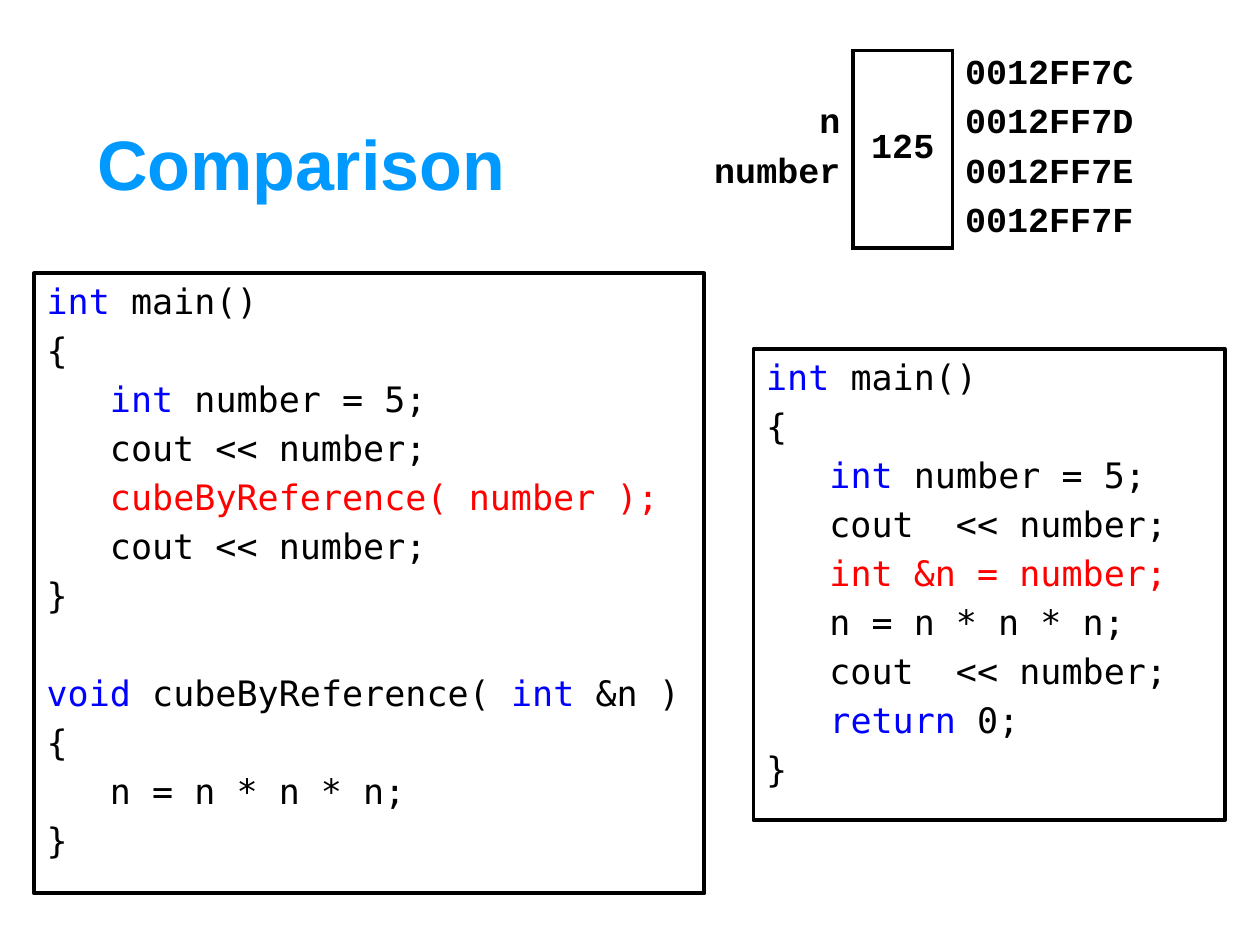
"""Builds the slide comparing a reference parameter with a reference variable."""
from lxml.etree import SubElement
from pptx import Presentation
from pptx.dml.color import RGBColor
from pptx.enum.text import MSO_ANCHOR as Anchor, MSO_AUTO_SIZE as AutoSize, PP_ALIGN as Align
from pptx.oxml import parse_xml
from pptx.oxml.ns import nsdecls, qn
from pptx.util import Inches, Pt

KEYWORDS = {"int", "void", "return"}
HIGHLIGHTS = {"cubeByReference( number );", "int &n = number;"}
PLAIN_TABLE = "{2D5ABB26-0587-4C30-8999-92F81FD0307C}"
BY_PARAMETER = [
    "int| main()",
    "{",
    "   |int| number = 5;",
    "   cout << number;",
    "   |cubeByReference( number );",
    "   cout << number;",
    "}",
    "",
    "void |cubeByReference( |int| &n )",
    "{",
    "   n = n * n * n;",
    "}",
]
BY_VARIABLE = [
    "int| main()",
    "{",
    "   |int| number = 5;",
    "   cout  << number;",
    "   |int &n = number;",
    "   n = n * n * n;",
    "   cout  << number;",
    "   |return| 0;",
    "}",
]
MEMORY = [
    ["", "125", "0012FF7C"],
    ["n", "", "0012FF7D"],
    ["number", "", "0012FF7E"],
    ["", "", "0012FF7F"],
]


def color(value):
    return RGBColor.from_string(value)


class SlideBuilder:
    black, blue, red, accent = "000000", "0000FF", "FF0000", "0099FF"
    title_font, code_font, table_font = "Arial", "DejaVu Sans Mono", "Courier New"
    title_size, text_size, line_width = 40, 20, 2.25
    line_gap, blank_line = 4, 28

    def __init__(self, deck):
        self.page = deck.slides.add_slide(deck.slide_layouts[3])

    def format(self, span, font, size, value, bold=False):
        span.font.name, span.font.size, span.font.bold = font, Pt(size), bold
        span.font.color.rgb = color(value)

    def place(self, shape, left, top, width, height):
        shape.left, shape.top = Inches(left), Inches(top)
        shape.width, shape.height = Inches(width), Inches(height)

    def title(self, text, *area):
        box = self.page.shapes.title
        self.place(box, *area)
        frame = box.text_frame
        frame.text = text
        frame.auto_size, frame.vertical_anchor = AutoSize.NONE, Anchor.MIDDLE
        para = frame.paragraphs[0]
        para.alignment = Align.LEFT
        self.format(para.runs[0], self.title_font, self.title_size, self.accent, True)

    def code(self, index, lines, *area):
        box = self.page.placeholders[index]
        self.place(box, *area)
        box.line.color.rgb = color(self.black)
        box.line.width = Pt(self.line_width)
        frame = box.text_frame
        frame.auto_size, frame.vertical_anchor = AutoSize.NONE, Anchor.TOP
        gap, para = 0, frame.paragraphs[0]
        for number, line in enumerate(lines):
            if not line:
                gap += self.blank_line
                continue
            para = frame.add_paragraph() if number else para
            para.space_before = Pt(gap)
            properties = para._p.get_or_add_pPr()
            properties.set("marL", "0")
            properties.set("indent", "0")
            SubElement(properties, qn("a:buNone"))
            for part in line.split("|"):
                span = para.add_run()
                span.text = part
                word = part.strip()
                value = self.blue if word in KEYWORDS else self.red if word in HIGHLIGHTS else self.black
                self.format(span, self.code_font, self.text_size, value)
            gap = self.line_gap

    def border(self, cell, sides):
        properties = cell._tc.get_or_add_tcPr()
        for position, side in enumerate(sides):
            properties.insert(position, parse_xml(
                f'<a:ln{side} {nsdecls("a")} w="{Pt(self.line_width)}"><a:solidFill>'
                f'<a:srgbClr val="{self.black}"/></a:solidFill></a:ln{side}>'))

    def memory(self, rows, widths, left, top, height):
        area = [Inches(length) for length in (left, top, sum(widths), height)]
        table = self.page.shapes.add_table(len(rows), len(widths), *area).table
        table.first_row = table.horz_banding = False
        table._tbl.tblPr.find(qn("a:tableStyleId")).text = PLAIN_TABLE
        for column, width in zip(table.columns, widths):
            column.width = Inches(width)
        table.cell(0, 1).merge(table.cell(len(rows) - 1, 1))
        columns = [(Align.RIGHT, "R", 0.02), (Align.CENTER, "LRTB", 0.1), (Align.LEFT, "L", 0.1)]
        for row, texts in enumerate(rows):
            for column, (text, (align, sides, margin)) in enumerate(zip(texts, columns)):
                cell = table.cell(row, column)
                cell.fill.background()
                cell.vertical_anchor = Anchor.MIDDLE
                cell.margin_left, cell.margin_right = Inches(margin), Inches(0.1)
                cell.margin_top = cell.margin_bottom = Inches(0.02)
                self.border(cell, sides)
                if text:
                    cell.text_frame.text = text
                    para = cell.text_frame.paragraphs[0]
                    para.alignment = align
                    self.format(para.runs[0], self.table_font, self.text_size, self.black, True)


def main():
    deck = Presentation()
    deck.slide_width, deck.slide_height = Inches(10), Inches(7.5)
    slide = SlideBuilder(deck)
    slide.title("Comparison", 0.67, 0.8, 3.54, 0.98)
    slide.code(1, BY_PARAMETER, 0.27, 2.17, 5.32, 4.92)
    slide.code(2, BY_VARIABLE, 5.98, 2.77, 3.74, 3.74)
    slide.memory(MEMORY, [1.18, 0.79, 1.57], 5.59, 0.4, 1.57)
    deck.save("out.pptx")


if __name__ == "__main__":
    main()
